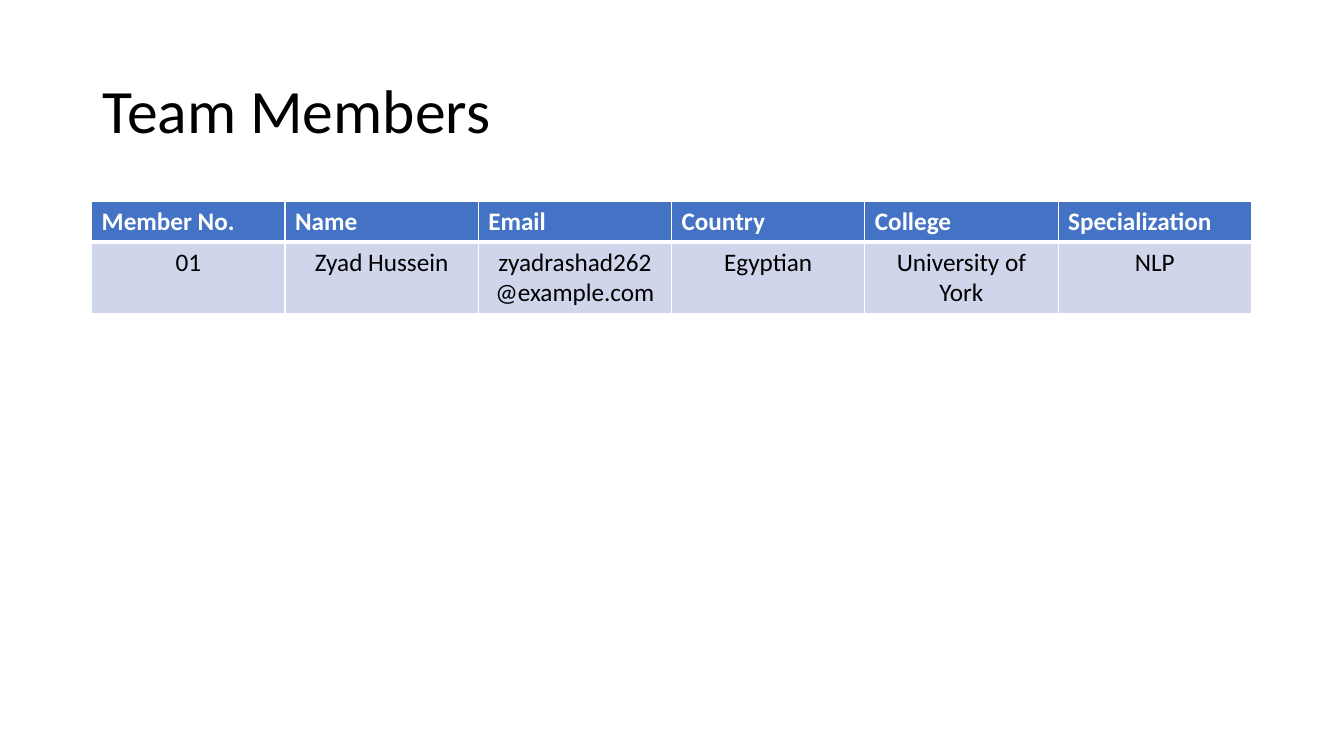
from lxml.etree import SubElement
from pptx import Presentation
from pptx.dml.color import RGBColor
from pptx.enum.text import MSO_ANCHOR, PP_ALIGN
from pptx.oxml.ns import qn
from pptx.util import Cm, Pt

BLACK = RGBColor(0x00, 0x00, 0x00)
WHITE = RGBColor(0xFF, 0xFF, 0xFF)
HEADER_BLUE = RGBColor(0x44, 0x72, 0xC4)
ROW_BLUE = RGBColor(0xCF, 0xD5, 0xEA)
FONT = "Calibri"

MEMBERS = [
    ["Member No.", "Name", "Email", "Country", "College", "Specialization"],
    ["01", "Zyad Hussein", "zyadrashad262@example.com", "Egyptian",
     "University of York", "NLP"],
]


def add_run(paragraph, text, size, color, bold=False):
    run = paragraph.add_run()
    run.text = text
    run.font.name = FONT
    run.font.size = Pt(size)
    run.font.bold = bold
    run.font.color.rgb = color


def add_border(cell, side, width):
    properties = cell._tc.get_or_add_tcPr()
    line = SubElement(properties, qn(f"a:ln{side}"), w=str(Pt(width)))
    fill = SubElement(line, qn("a:solidFill"))
    SubElement(fill, qn("a:srgbClr"), val=str(WHITE))


presentation = Presentation()
presentation.slide_width = Cm(33.87)
presentation.slide_height = Cm(19.05)
slide = presentation.slides.add_slide(presentation.slide_layouts[5])

# Title
title = slide.shapes.title
title.left, title.top = Cm(2.33), Cm(1.01)
title.width, title.height = Cm(29.21), Cm(3.68)
title.text_frame.vertical_anchor = MSO_ANCHOR.MIDDLE
paragraph = title.text_frame.paragraphs[0]
paragraph.alignment = PP_ALIGN.LEFT
paragraph.line_spacing = 0.9
add_run(paragraph, "Team Members", 44, BLACK)

# Member table
table = slide.shapes.add_table(
    len(MEMBERS), len(MEMBERS[0]), Cm(2.31), Cm(5.07), Cm(29.23), Cm(2.06)
).table
for row_index, member in enumerate(MEMBERS):
    is_header = row_index == 0
    for column_index, text in enumerate(member):
        cell = table.cell(row_index, column_index)

        # Thick white rule between header and body, thin lines elsewhere
        add_border(cell, "L", 1)
        add_border(cell, "R", 1)
        add_border(cell, "T", 1 if is_header else 3)
        add_border(cell, "B", 3 if is_header else 1)

        cell.fill.solid()
        cell.fill.fore_color.rgb = HEADER_BLUE if is_header else ROW_BLUE
        paragraph = cell.text_frame.paragraphs[0]
        paragraph.alignment = PP_ALIGN.LEFT if is_header else PP_ALIGN.CENTER
        add_run(paragraph, text, 18, WHITE if is_header else BLACK, is_header)

presentation.save("out.pptx")
